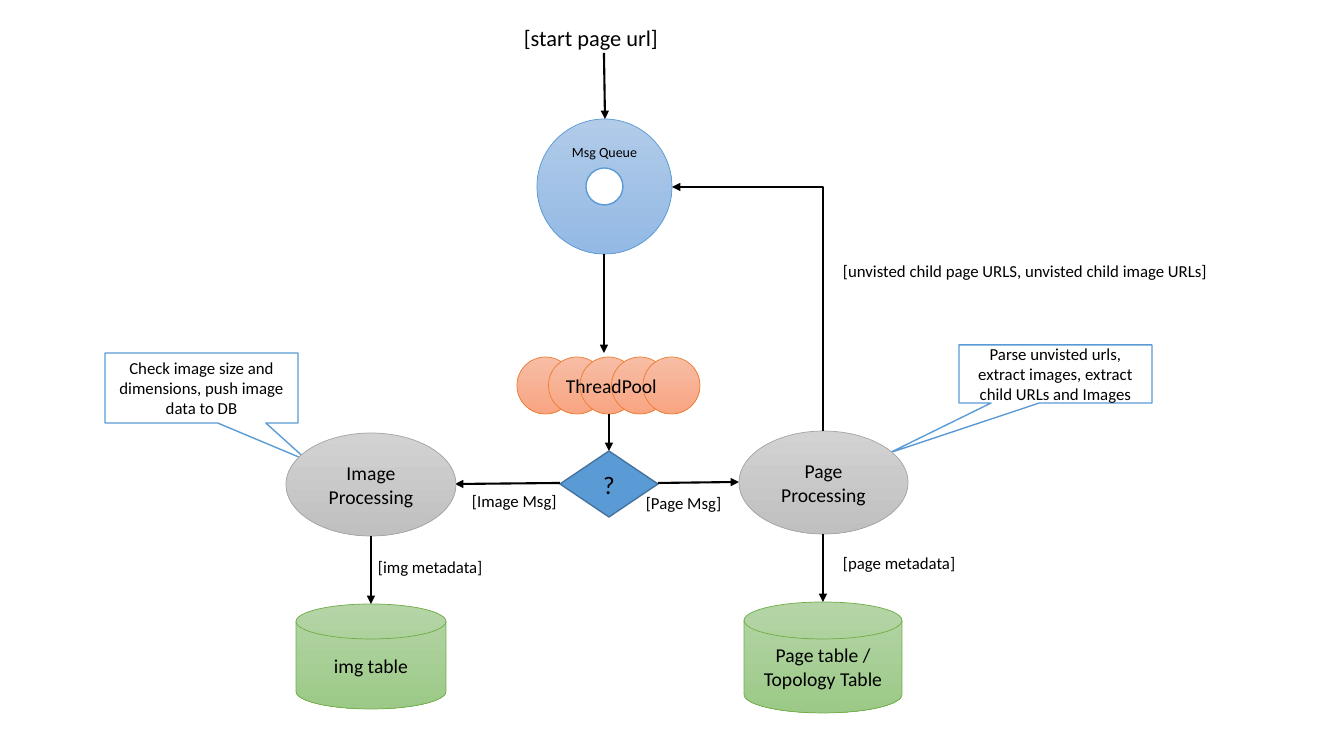
import pptx
import pptx.util
import pptx.dml.color
import pptx.enum.shapes
import pptx.enum.text
import pptx.oxml
import pptx.oxml.ns

SCALE = 914400 / 100.8
RGB = pptx.dml.color.RGBColor
SHAPE = pptx.enum.shapes.MSO_SHAPE
CONNECTOR = pptx.enum.shapes.MSO_CONNECTOR
ANCHOR = pptx.enum.text.MSO_ANCHOR
ALIGN = pptx.enum.text.PP_ALIGN

BLACK = RGB(0x00, 0x00, 0x00)
WHITE = RGB(0xFF, 0xFF, 0xFF)
BLUE = RGB(0x5B, 0x9B, 0xD5)
DARK_BLUE = RGB(0x43, 0x73, 0x9E)
ORANGE = RGB(0xED, 0x7D, 0x31)
GREEN = RGB(0x70, 0xAD, 0x47)
GRAY = RGB(0xA5, 0xA5, 0xA5)
BLUE_FADE = (RGB(0xB1, 0xCB, 0xE9), RGB(0x93, 0xB9, 0xE4))
ORANGE_FADE = (RGB(0xF7, 0xBD, 0xA5), RGB(0xF8, 0xA5, 0x82))
GREEN_FADE = (RGB(0xB5, 0xD5, 0xA7), RGB(0x9C, 0xC9, 0x87))
GRAY_FADE = (RGB(0xD2, 0xD2, 0xD2), RGB(0xC0, 0xC0, 0xC0))


def emu(*pixels):
    return [pptx.util.Emu(round(value * SCALE)) for value in pixels]


def write(shape, text, size, alignment):
    paragraph = shape.text_frame.paragraphs[0]
    paragraph.alignment = alignment
    run = paragraph.add_run()
    run.text = text
    font_format = {"name": "Calibri", "size": pptx.util.Pt(size)}
    for attribute, value in font_format.items():
        setattr(run.font, attribute, value)
    run.font.color.rgb = BLACK


def add_node(slide, kind, box, fill, line, weight, text="", size=14,
             anchor=ANCHOR.MIDDLE, adjustments=()):
    shape = slide.shapes.add_shape(kind, *emu(*box))
    shape.shadow.inherit = False
    for index, value in enumerate(adjustments):
        shape.adjustments[index] = value
    if isinstance(fill, RGB):
        shape.fill.solid()
        shape.fill.fore_color.rgb = fill
    else:
        shape.fill.gradient()
        shape.fill.gradient_angle = 270
        for stop, color in zip(shape.fill.gradient_stops, fill):
            stop.color.rgb = color
    shape.line.color.rgb = line
    shape.line.width = pptx.util.Pt(weight)
    if text:
        frame_format = {"word_wrap": True, "vertical_anchor": anchor}
        for attribute, value in frame_format.items():
            setattr(shape.text_frame, attribute, value)
        write(shape, text, size, ALIGN.CENTER)


def add_label(slide, box, text, size=12):
    label = slide.shapes.add_textbox(*emu(*box))
    frame_format = {"word_wrap": False,
                    "auto_size": pptx.enum.text.MSO_AUTO_SIZE.SHAPE_TO_FIT_TEXT}
    for attribute, value in frame_format.items():
        setattr(label.text_frame, attribute, value)
    write(label, text, size, ALIGN.LEFT)


def add_arrow(slide, start, end, kind=CONNECTOR.STRAIGHT, arrow_end="a:tailEnd"):
    arrow = slide.shapes.add_connector(kind, *emu(*start, *end))
    arrow.line.color.rgb = BLACK
    arrow.line.width = pptx.util.Pt(1.5)
    head = pptx.oxml.ns.qn(arrow_end)
    arrow.line._get_or_add_ln().append(
        arrow._element.makeelement(head, {"type": "triangle"}))
    properties = arrow._element.spPr
    properties.append(properties.makeelement(pptx.oxml.ns.qn("a:effectLst"), {}))
    return arrow


def add_queue(slide, box):
    left, top, width, height = box
    center = left + width // 2
    hole = 37
    add_label(slide, (left - 23, top - 100, 156, 37), "[start page url]", 16)
    add_node(slide, SHAPE.OVAL, box, BLUE_FADE, BLUE, 0.5, "Msg Queue", 10, ANCHOR.TOP)
    add_node(slide, SHAPE.OVAL,
             (left + (width - hole) // 2, top + (height - hole) // 2, hole, hole),
             WHITE, BLUE, 1)
    add_arrow(slide, (center, top - 66), (center + 1, top))
    add_arrow(slide, (center, top + height), (center, top + height + 99))


def add_thread_pool(slide, box):
    left, top, width, diameter = box
    threads = 5
    step = (width - diameter) / (threads - 1)
    for index in range(threads):
        add_node(slide, SHAPE.OVAL, (left + index * step, top, diameter, diameter),
                 ORANGE_FADE, ORANGE, 0.5)
    add_label(slide, (left + 39, top + 12, 112, 34), "ThreadPool", 14)


def add_decision(slide, box):
    left, top, width, height = box
    center, middle = left + width // 2, top + height // 2
    add_arrow(slide, (center, top - 37), (center, top))
    add_node(slide, SHAPE.FLOWCHART_DECISION, box, BLUE, DARK_BLUE, 1, "?", 18)
    add_arrow(slide, (left, middle - 1), (left - 105, middle))
    add_arrow(slide, (left + width, middle - 1), (left + width + 81, middle - 2))
    add_label(slide, (left - 98, top + 35, 106, 30), "[Image Msg]")
    add_label(slide, (left + 76, top + 37, 97, 30), "[Page Msg]")


def add_branch(slide, box, name, note, note_box, note_tip, label, label_box,
               table, table_size):
    left, top, width, height = box
    center = left + width // 2
    table_width, table_height = table_size
    table_top = top + 171

    def place(x, y, *size):
        return (left + x, top + y, *size)

    add_node(slide, SHAPE.RECTANGULAR_CALLOUT, place(*note_box), WHITE, BLUE, 1,
             note, 12, adjustments=note_tip)
    add_node(slide, SHAPE.OVAL, box, GRAY_FADE, GRAY, 0.5, name)
    add_node(slide, SHAPE.FLOWCHART_MAGNETIC_DISK,
             (center - table_width // 2, table_top, table_width, table_height),
             GREEN_FADE, GREEN, 0.5, table)
    add_arrow(slide, (center, top + height), (center, table_top))
    add_label(slide, place(*label_box), label)


def add_return_path(slide, box):
    left, top, width, height = box
    arrow = add_arrow(slide, (left, top), (left + width, top + height),
                      CONNECTOR.ELBOW, "a:headEnd")
    arrow._element.spPr.find(pptx.oxml.ns.qn("a:prstGeom")).set("prst", "bentConnector2")
    add_label(slide, (left + width + 10, top + 69, 388, 30),
              "[unvisted child page URLS, unvisted child image URLs]")


presentation = pptx.Presentation()
presentation.slide_width, presentation.slide_height = emu(1344, 756)
slide = presentation.slides.add_slide(presentation.slide_layouts[6])
add_queue(slide, (537, 119, 135, 135))
add_thread_pool(slide, (517, 357, 183, 57))
add_decision(slide, (560, 451, 98, 66))
add_branch(slide, (286, 433, 170, 103), "Image Processing",
           "Check image size and dimensions, push image data to DB",
           (-181, -80, 193, 70), (0.55, 1.04),
           "[img metadata]", (82, 119, 126, 30), "img table", (150, 105))
add_branch(slide, (739, 431, 169, 103), "Page Processing",
           "Parse unvisted urls, extract images, extract child URLs and Images",
           (220, -86, 193, 58), (-0.86, 1.36),
           "[page metadata]", (94, 117, 134, 30), "Page table / Topology Table", (158, 111))
add_return_path(slide, (672, 187, 151, 244))
presentation.save("out.pptx")
